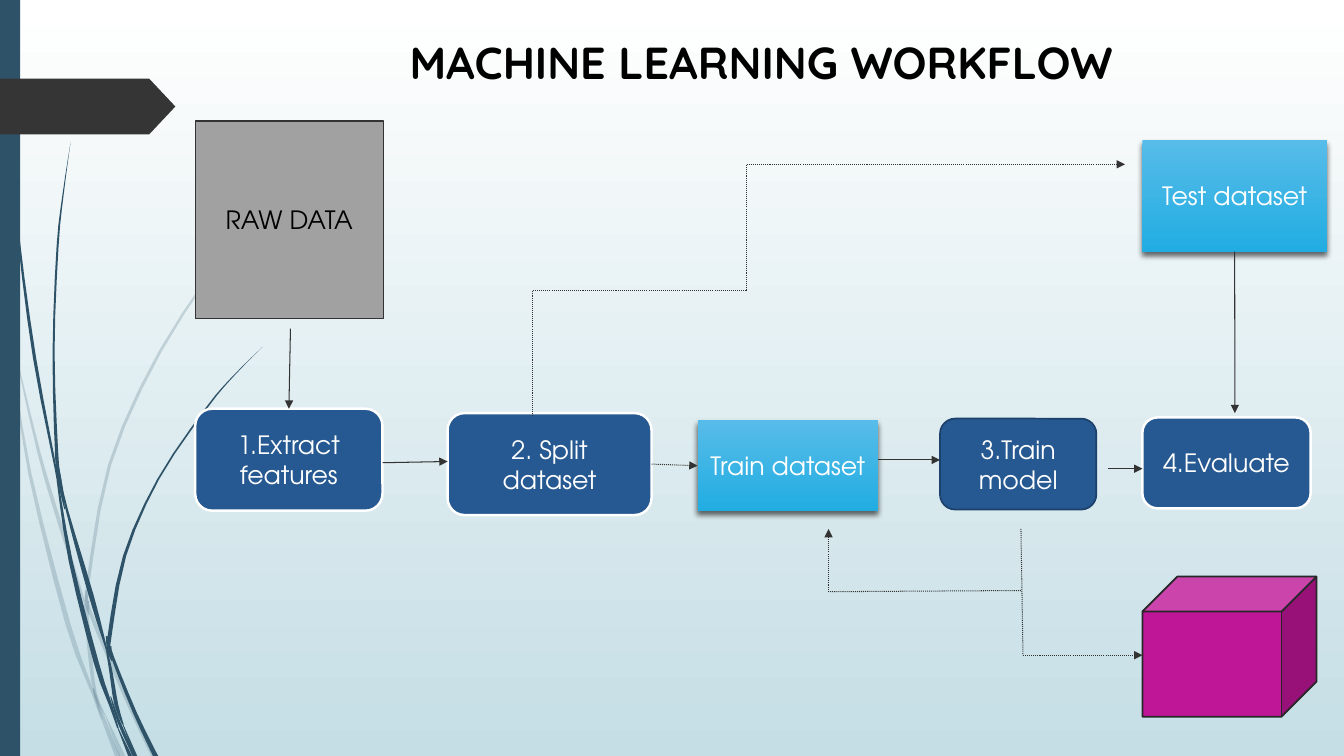
from lxml.etree import SubElement
from pptx import Presentation
from pptx.dml.color import RGBColor
from pptx.enum.dml import MSO_LINE
from pptx.enum.shapes import MSO_CONNECTOR, MSO_SHAPE
from pptx.enum.text import MSO_ANCHOR, MSO_AUTO_SIZE, PP_ALIGN
from pptx.oxml.ns import qn
from pptx.util import Cm, Pt

WIDTH, HEIGHT = 33.87, 19.05
TOP, LEFT, BOTTOM, RIGHT = range(4)
NAVY, STEP_BLUE, INK, WHITE = "2E5369", "265991", "333333", "FFFFFF"
SKY = ("57BCE9", "22ADE2")

# Each strand is a list of centre x, centre y and thickness in cm.
PALE_STRANDS = [
    [(0, 7.38, .02), (.13, 8.05, .06), (.28, 8.89, .02)],
    [(.36, 8.76, .02), (.98, 11.4, .08), (1.52, 13.23, .1), (2.14, 15.21, .04)],
    [(2.24, 15.14, .04), (2.28, 15.45, .1), (3.18, 17.6, .1), (3.87, 19.05, .13)],
    [(2.67, 18.06, .02), (3.09, 19.05, .13)],
    [(.28, 8.89, .02), (.75, 11.92, .08), (1.72, 15.75, .13), (2.35, 17.48, .08),
     (2.57, 18.14, .04)],
    [(2.13, 15.21, .04), (2.18, 15.47, .1), (2.26, 16.41, .1), (2.4, 17.46, .08),
     (2.67, 18.06, .02)],
    [(7.92, 3.89, 0), (6.81, 5.02, .03), (5.8, 6.21, .05), (4.04, 8.85, .08),
     (2.76, 11.72, .08), (2.2, 14.83, .08), (2.24, 15.14, .02)],
    [(2.57, 18.14, .02), (2.96, 19.05, .13)],
    [(2.16, 14.88, .04), (2.19, 15.2, .1), (2.24, 15.49, .02)],
    [(2.36, 17.35, .04), (2.51, 17.85, .08), (3.02, 19.05, .02)],
]
DARK_STRANDS = [
    [(.09, 0, .03), (.19, 2.79, .03), (.46, 5.92, .05), (.87, 9.02, .08),
     (1.4, 11.8, .05), (1.45, 12.22, .02)],
    [(1.52, 11.99, .02), (1.68, 12.83, .06), (2.3, 15.01, .13), (2.69, 16.38, .04)],
    [(2.79, 16.28, .04), (2.84, 16.57, .08), (3.4, 17.96, .1), (3.92, 19.05, .13)],
    [(1.45, 12.12, .04), (1.78, 14.13, .1), (2.43, 16.71, .13), (2.8, 17.8, .08),
     (2.97, 18.34, .04)],
    [(1.78, 3.58, 0), (1.59, 4.9, .03), (1.45, 6.22, .05), (1.35, 8.86, .05),
     (1.43, 11.46, .08), (1.52, 11.99, .02)],
    [(3.1, 18.26, .02), (3.42, 19.05, .08)],
    [(1.4, 11.4, .04), (1.5, 12.1, .1), (1.63, 12.83, .02)],
    [(6.62, 8.74, 0), (5.87, 9.49, .03), (5.19, 10.3, .05), (3.99, 12.07, .05),
     (3.14, 14.01, .08), (2.76, 16.05, .1), (2.79, 16.28, .02)],
    [(2.97, 18.34, .02), (3.28, 19.05, .1)],
    [(2.69, 16.38, .04), (2.8, 16.95, .08), (2.93, 17.75, .1), (3.1, 18.26, .04)],
    [(2.69, 16.03, .04), (2.75, 16.4, .1), (2.82, 16.66, .02)],
    [(2.79, 17.55, .02), (3, 18.2, .08), (3.38, 19.05, .08)],
]


def color(value):
    return RGBColor.from_string(value)


def fill_gradient(fill, colors):
    """Fill from the first colour at the top to the second at the bottom."""
    fill.gradient()
    fill.gradient_angle = 270
    for stop, position, value in zip(fill.gradient_stops, (0, 1), colors):
        stop.position = position
        stop.color.rgb = color(value)


def paint(shape, fill, line=None, line_width=0.75):
    shape.shadow.inherit = False
    if isinstance(fill, tuple):
        fill_gradient(shape.fill, fill)
    else:
        shape.fill.solid()
        shape.fill.fore_color.rgb = color(fill)
    if line:
        shape.line.color.rgb = color(line)
        shape.line.width = Pt(line_width)
    else:
        shape.line.fill.background()


def write(shape, text, size=18, font="TeX Gyre Adventor", text_color=WHITE, bold=False,
          anchor=MSO_ANCHOR.MIDDLE):
    frame = shape.text_frame
    frame.word_wrap = True
    frame.auto_size = MSO_AUTO_SIZE.NONE
    frame.vertical_anchor = anchor
    paragraph = frame.paragraphs[0]
    paragraph.alignment = PP_ALIGN.CENTER
    run = paragraph.add_run()
    run.text = text
    run.font.size, run.font.name, run.font.bold = Pt(size), font, bold
    run.font.color.rgb = color(text_color)


def add_box(slide, preset, left, top, width, height, fill, text="", text_color=WHITE, **line):
    shape = slide.shapes.add_shape(preset, Cm(left), Cm(top), Cm(width), Cm(height))
    paint(shape, fill, **line)
    if text:
        write(shape, text, text_color=text_color)
    return shape


def drop_shadow(shape):
    effects = shape._element.spPr.find(qn("a:effectLst"))
    shadow = SubElement(effects, qn("a:outerShdw"), blurRad=str(Pt(4)), dist=str(Pt(3)),
                        dir="5400000", rotWithShape="0")
    black = SubElement(shadow, qn("a:srgbClr"), val="000000")
    SubElement(black, qn("a:alpha"), val="60000")


def smooth(points, steps=3):
    """Return points along a Catmull-Rom curve through the given ones."""
    padded = [points[0], *points, points[-1]]
    curve = []
    for a, b, c, d in zip(padded, padded[1:], padded[2:], padded[3:]):
        for step in range(steps):
            t = step / steps
            curve.append([
                q + t / 2 * (r - p + t * (2 * p - 5 * q + 4 * r - s + t * (3 * (q - r) + s - p)))
                for p, q, r, s in zip(a, b, c, d)])
    return curve + [points[-1]]


def add_strand(slide, left, top, points, opacity):
    curve = smooth(points)
    outline = [(Cm(left + x - w / 2), Cm(top + y)) for x, y, w in curve]
    outline += [(Cm(left + x + w / 2), Cm(top + y)) for x, y, w in reversed(curve)]
    builder = slide.shapes.build_freeform(*outline[0])
    builder.add_line_segments(outline[1:], close=True)
    strand = builder.convert_to_shape()
    paint(strand, NAVY)
    if opacity < 100:
        fill_color = strand._element.spPr.find(qn("a:solidFill"))[0]
        SubElement(fill_color, qn("a:alpha"), val=str(opacity * 1000))


def add_decoration(slide, left, top, height):
    for strands, opacity in ((PALE_STRANDS, 20), (DARK_STRANDS, 100)):
        for points in strands:
            add_strand(slide, left, top, points, opacity)
    add_box(slide, MSO_SHAPE.RECTANGLE, left, top, 0.51, height, NAVY)
    tag = add_box(slide, MSO_SHAPE.PENTAGON, left, top + 1.98, 4.42, 1.41, "353535")
    tag.adjustments[0] = 0.47


def add_title(slide, left, top, width, height):
    title = slide.shapes.title
    title.left, title.top, title.width, title.height = map(Cm, (left, top, width, height))
    write(title, "MACHINE LEARNING WORKFLOW", size=32, font="Quicksand", text_color="000000",
          bold=True, anchor=MSO_ANCHOR.TOP)


def link(slide, start, end, kind=MSO_CONNECTOR.STRAIGHT, dotted=False, arrow=True):
    """Join two ends, each a point in cm or a (shape, side) pair."""
    joined = [not isinstance(place[0], (int, float)) for place in (start, end)]
    points = [(0, 0) if is_joined else tuple(map(Cm, place))
              for is_joined, place in zip(joined, (start, end))]
    connector = slide.shapes.add_connector(kind, *points[0], *points[1])
    if joined[0]:
        connector.begin_connect(*start)
    if joined[1]:
        connector.end_connect(*end)
    connector.line.color.rgb = color(INK)
    connector.line.width = Pt(0.75)
    if dotted:
        connector.line.dash_style = MSO_LINE.ROUND_DOT
    if arrow:
        SubElement(connector.line._get_or_add_ln(), qn("a:tailEnd"), type="triangle")
    SubElement(connector._element.spPr, qn("a:effectLst"))
    return connector


def link_upwards(slide, start, end):
    """Draw a dotted elbow that leaves and arrives vertically: a quarter-turned connector."""
    (x1, y1), (x2, y2) = start, end
    x, y, dx, dy = (x1 + x2) / 2, (y1 + y2) / 2, (y1 - y2) / 2, (x2 - x1) / 2
    elbow = link(slide, (x + dx, y + dy), (x - dx, y - dy), kind=MSO_CONNECTOR.ELBOW,
                 dotted=True, arrow=False)
    elbow._element.spPr.find(qn("a:xfrm")).set("rot", "5400000")


def add_workflow(slide, left, top):
    def at(x, y):
        return left + x, top + y

    def add_step(x, y, width, height, text, line=WHITE, line_width=1.75):
        return add_box(slide, MSO_SHAPE.ROUNDED_RECTANGLE, *at(x, y), width, height, STEP_BLUE,
                       text, line=line, line_width=line_width)

    def add_dataset(x, y, width, height, text):
        dataset = add_box(slide, MSO_SHAPE.RECTANGLE, *at(x, y), width, height, SKY, text)
        drop_shadow(dataset)
        return dataset

    add_box(slide, MSO_SHAPE.RECTANGLE, *at(0, 0), 4.74, 4.98, "A1A1A1", "RAW DATA",
            text_color="000000", line=INK)
    extract = add_step(0, 7.25, 4.72, 2.57, "1.Extract features")
    split = add_step(6.36, 7.36, 5.14, 2.57, "2. Split dataset")
    train_data = add_dataset(12.66, 7.54, 4.55, 2.29, "Train dataset")
    add_step(18.77, 7.5, 3.94, 2.29, "3.Train model", "1C426B", 1.25)
    add_step(23.87, 7.47, 4.24, 2.29, "4.Evaluate")
    test_data = add_dataset(23.87, 0.47, 4.65, 2.82, "Test dataset")
    add_box(slide, MSO_SHAPE.CUBE, *at(23.87, 11.48), 4.39, 3.53, "BF1698",
            line="272727", line_width=1.25)

    link(slide, at(2.4, 5.23), (extract, TOP))
    link(slide, at(4.72, 8.61), at(6.36, 8.58))
    link(slide, (split, RIGHT), (train_data, LEFT), dotted=True)
    link(slide, at(17.21, 8.54), at(18.77, 8.54))
    link(slide, at(23, 8.76), at(23.87, 8.76))
    link_upwards(slide, at(8.5, 7.44), at(13.9, 1.12))
    link(slide, at(13.9, 1.09), at(23.43, 1.09), dotted=True)
    link(slide, (test_data, BOTTOM), at(26.2, 7.36))
    link(slide, at(20.81, 10.28), at(20.86, 13.46), dotted=True, arrow=False)
    link(slide, at(20.86, 13.46), at(23.87, 13.46), dotted=True)
    link(slide, at(20.81, 11.83), at(15.96, 11.86), dotted=True, arrow=False)
    link(slide, at(15.96, 11.86), at(15.96, 10.28), dotted=True)


def main():
    presentation = Presentation()
    presentation.slide_width, presentation.slide_height = Cm(WIDTH), Cm(HEIGHT)
    slide = presentation.slides.add_slide(presentation.slide_layouts[5])
    fill_gradient(slide.background.fill, (WHITE, "C5DEE5"))
    add_decoration(slide, 0, 0, HEIGHT)
    add_title(slide, 4.51, 0.74, 29.36, 1.9)
    add_workflow(slide, 4.92, 3.05)
    presentation.save("out.pptx")


if __name__ == "__main__":
    main()
